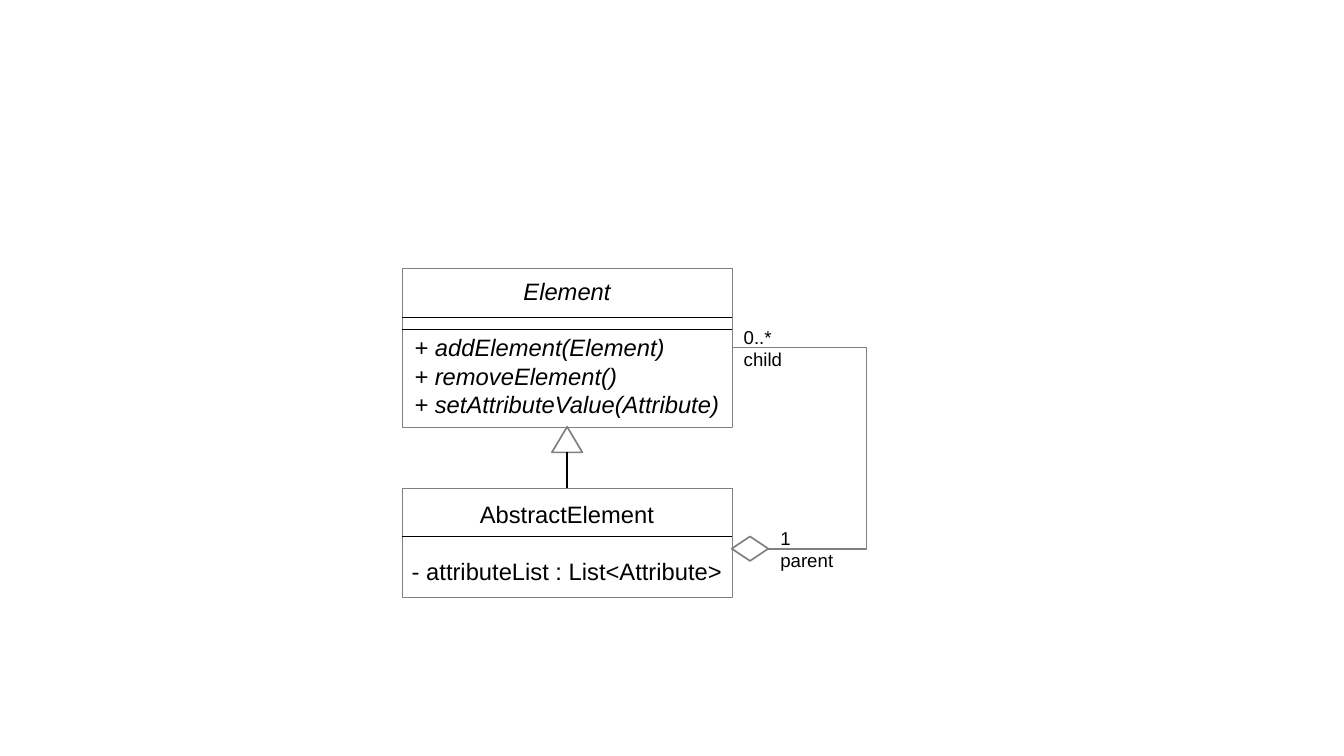
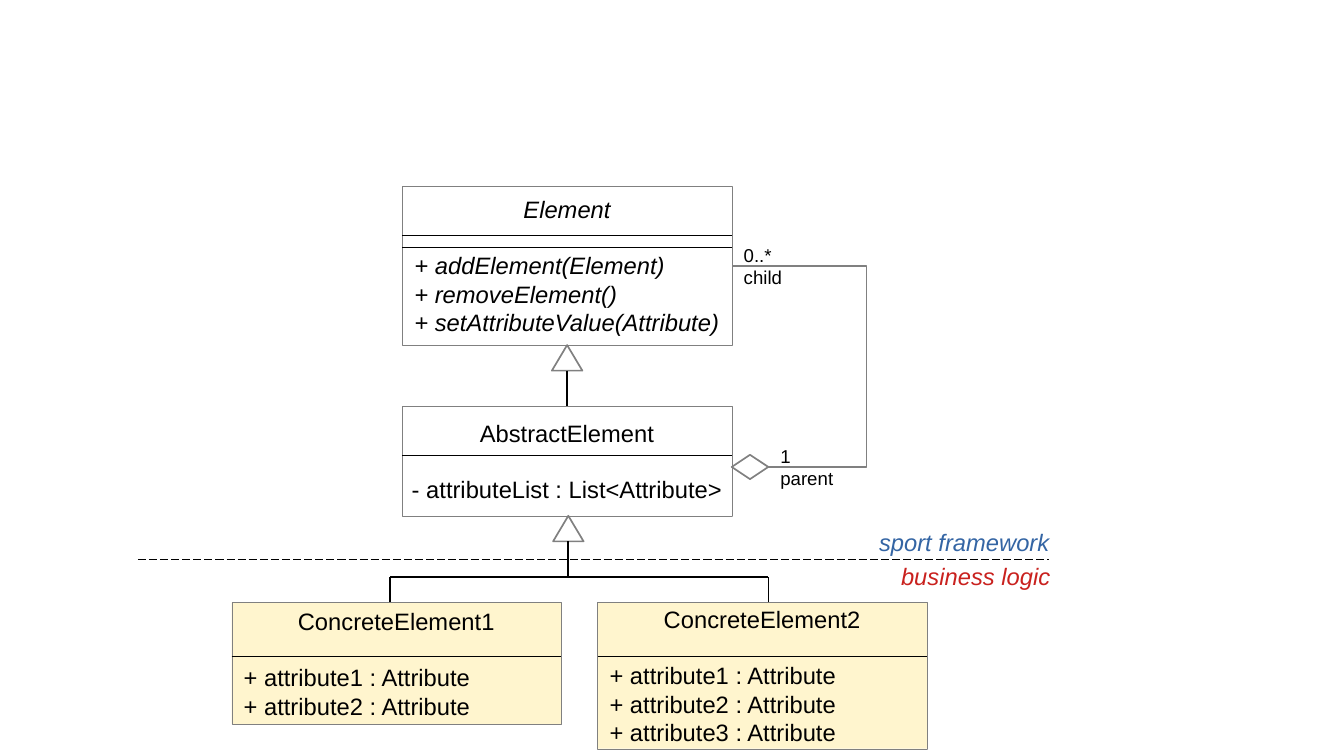
from lxml import etree
from pptx import Presentation
from pptx.dml.color import RGBColor
from pptx.enum.dml import MSO_LINE
from pptx.enum.shapes import MSO_CONNECTOR, MSO_SHAPE
from pptx.enum.text import MSO_ANCHOR, MSO_AUTO_SIZE, PP_ALIGN
from pptx.oxml.ns import qn
from pptx.util import Inches, Pt

BLACK = RGBColor(0x00, 0x00, 0x00)
WHITE = RGBColor(0xFF, 0xFF, 0xFF)
GREY = RGBColor(0x80, 0x80, 0x80)
CREAM = RGBColor(0xFF, 0xF5, 0xCE)
BLUE = RGBColor(0x34, 0x65, 0xA4)
RED = RGBColor(0xC9, 0x21, 0x1E)

STRAIGHT, ELBOW = MSO_CONNECTOR.STRAIGHT, MSO_CONNECTOR.ELBOW
RECTANGLE = MSO_SHAPE.RECTANGLE
TRIANGLE = MSO_SHAPE.FLOWCHART_EXTRACT
DIAMOND = MSO_SHAPE.FLOWCHART_DECISION
LEFT, CENTER = PP_ALIGN.LEFT, PP_ALIGN.CENTER
MIDDLE = MSO_ANCHOR.MIDDLE
GROW = MSO_AUTO_SIZE.SHAPE_TO_FIT_TEXT
LONG_DASH = MSO_LINE.LONG_DASH

FONT = "Arial"
CLASS_SIZE, ROLE_SIZE = 14, 11
COMPARTMENT_GAP = 16.5
HAIRLINE = 0.1
SLIDE_W, SLIDE_H = 11.02, 6.2
CLASS_W = 2.7
CORE_LEFT = 3.3
CORE_RIGHT = CORE_LEFT + CLASS_W
CORE_AXIS = CORE_LEFT + CLASS_W / 2
ELEMENT_H, ABSTRACT_H = 1.3, 0.9
ABSTRACT_OFFSET = 1.8
CORE_H = ABSTRACT_OFFSET + ABSTRACT_H
ARROW_W, ARROW_H = 0.25, 0.21
DIAMOND_W, DIAMOND_H = 0.3, 0.2


def add_line(slide, start, end, color=BLACK, width=HAIRLINE, kind=STRAIGHT):
    """Connect two (x, y) points given in inches."""
    line = slide.shapes.add_connector(kind, *(Inches(v) for v in (*start, *end)))
    line.line.color.rgb = color
    line.line.width = Pt(width)
    etree.SubElement(line._element.spPr, qn("a:effectLst"))
    return line


def add_outlined(slide, kind, left, top, width, height, fill=WHITE, weight=1):
    """Add a filled shape with a grey outline."""
    shape = slide.shapes.add_shape(
        kind, Inches(left), Inches(top), Inches(width), Inches(height))
    shape.shadow.inherit = False
    shape.fill.solid()
    shape.fill.fore_color.rgb = fill
    shape.line.color.rgb = GREY
    shape.line.width = Pt(weight)
    return shape


def write_lines(frame, lines, size, color=BLACK, italic=False):
    """Write one paragraph for each line and return the paragraphs."""
    frame.word_wrap = False
    frame.text = "\n".join(lines)
    for paragraph in frame.paragraphs:
        paragraph.alignment = LEFT
        font = paragraph.font
        font.name, font.size, font.italic = FONT, Pt(size), italic
        font.color.rgb = color
    return frame.paragraphs


def add_label(slide, left, top, width, height, lines, size, color=BLACK, italic=False):
    """Add a free-standing label."""
    label = slide.shapes.add_textbox(
        Inches(left), Inches(top), Inches(width), Inches(height))
    write_lines(label.text_frame, lines, size, color, italic)
    label.text_frame.auto_size = GROW


def add_class(slide, left, top, height, name, members, dividers,
              fill=WHITE, italic=False, member_align=LEFT):
    """Draw a class box with its name, members and compartment dividers."""
    box = add_outlined(slide, RECTANGLE, left, top, CLASS_W, height, fill, HAIRLINE)
    box.text_frame.vertical_anchor = MIDDLE
    title, *rows = write_lines(
        box.text_frame, [name, *members], CLASS_SIZE, italic=italic)
    title.alignment = CENTER
    rows[0].space_before = Pt(COMPARTMENT_GAP)
    for row in rows:
        row.alignment = member_align
    for offset in dividers:
        add_line(slide, (left, top + offset), (left + CLASS_W, top + offset))


def add_generalization(slide, axis, top, bottom):
    """Draw an inheritance arrow pointing up at top."""
    add_outlined(slide, TRIANGLE, axis - ARROW_W / 2, top, ARROW_W, ARROW_H)
    add_line(slide, (axis, top + ARROW_H), (axis, bottom), width=1)


def add_aggregation(slide, left, child_y, parent_y):
    """Draw the parent-child loop to the right of the class boxes."""
    tip = left + DIAMOND_W
    loop = add_line(slide, (tip, parent_y), (left, child_y), GREY, 1, ELBOW)
    adjustments = loop._element.spPr.find(qn("a:prstGeom")).get_or_add_avLst()
    etree.SubElement(adjustments, qn("a:gd"), name="adj1", fmla="val -268900")
    add_outlined(slide, DIAMOND, left, parent_y - DIAMOND_H / 2, DIAMOND_W, DIAMOND_H)
    label_rise, label_h = 0.23, 0.48
    add_label(slide, left, child_y - label_rise, 0.6, label_h,
              ["0..*", "child"], ROLE_SIZE)
    add_label(slide, tip, parent_y - label_rise, 0.7, label_h,
              ["1", "parent"], ROLE_SIZE)


def add_core(slide, top):
    """Draw Element, AbstractElement and their relations below top."""
    abstract_top = top + ABSTRACT_OFFSET
    add_class(slide, CORE_LEFT, abstract_top, ABSTRACT_H, "AbstractElement",
              ["- attributeList : List<Attribute>"], [0.4], member_align=CENTER)
    add_class(slide, CORE_LEFT, top, ELEMENT_H, "Element",
              ["+ addElement(Element)", "+ removeElement()",
               "+ setAttributeValue(Attribute)"], [0.4, 0.5], italic=True)
    add_generalization(slide, CORE_AXIS, top + ELEMENT_H, abstract_top)
    add_aggregation(slide, CORE_RIGHT, top + ELEMENT_H / 2, abstract_top + 0.5)


def add_layer_border(slide, y):
    """Draw the dashed border between framework and business logic."""
    border = add_line(slide, (1.13, y), (8.6, y), width=0.6)
    border.line.dash_style = LONG_DASH
    add_label(slide, 7.11, y - 0.31, 1.6, 0.32,
              ["sport framework"], CLASS_SIZE, BLUE, True)
    add_label(slide, 7.29, y - 0.03, 1.43, 0.32,
              ["business logic"], CLASS_SIZE, RED, True)


def add_concrete_classes(slide, top):
    """Draw the concrete classes and the tree that joins them to their parent."""
    class_top, bus_y = top + 0.71, top + 0.5
    branches = (3.2, 6.3)
    for number, left in enumerate((1.9, 4.9), 1):
        members = [f"+ attribute{i} : Attribute" for i in range(1, number + 2)]
        add_class(slide, left, class_top, 0.8 + 0.2 * number,
                  f"ConcreteElement{number}", members, [0.44], CREAM)
    add_generalization(slide, CORE_AXIS + 0.01, top, bus_y)
    add_line(slide, (branches[0], bus_y), (branches[1], bus_y), width=1)
    for branch in branches:
        add_line(slide, (branch, class_top), (branch, bus_y), width=1)


def main():
    """Build and save both slides."""
    deck = Presentation()
    deck.slide_width, deck.slide_height = Inches(SLIDE_W), Inches(SLIDE_H)
    blank = deck.slide_layouts[6]

    add_core(deck.slides.add_slide(blank), 2.2)

    layered = deck.slides.add_slide(blank)
    core_top = 1.53
    core_bottom = core_top + CORE_H
    add_core(layered, core_top)
    add_layer_border(layered, core_bottom + 0.36)
    add_concrete_classes(layered, core_bottom)

    deck.save("out.pptx")


if __name__ == "__main__":
    main()
